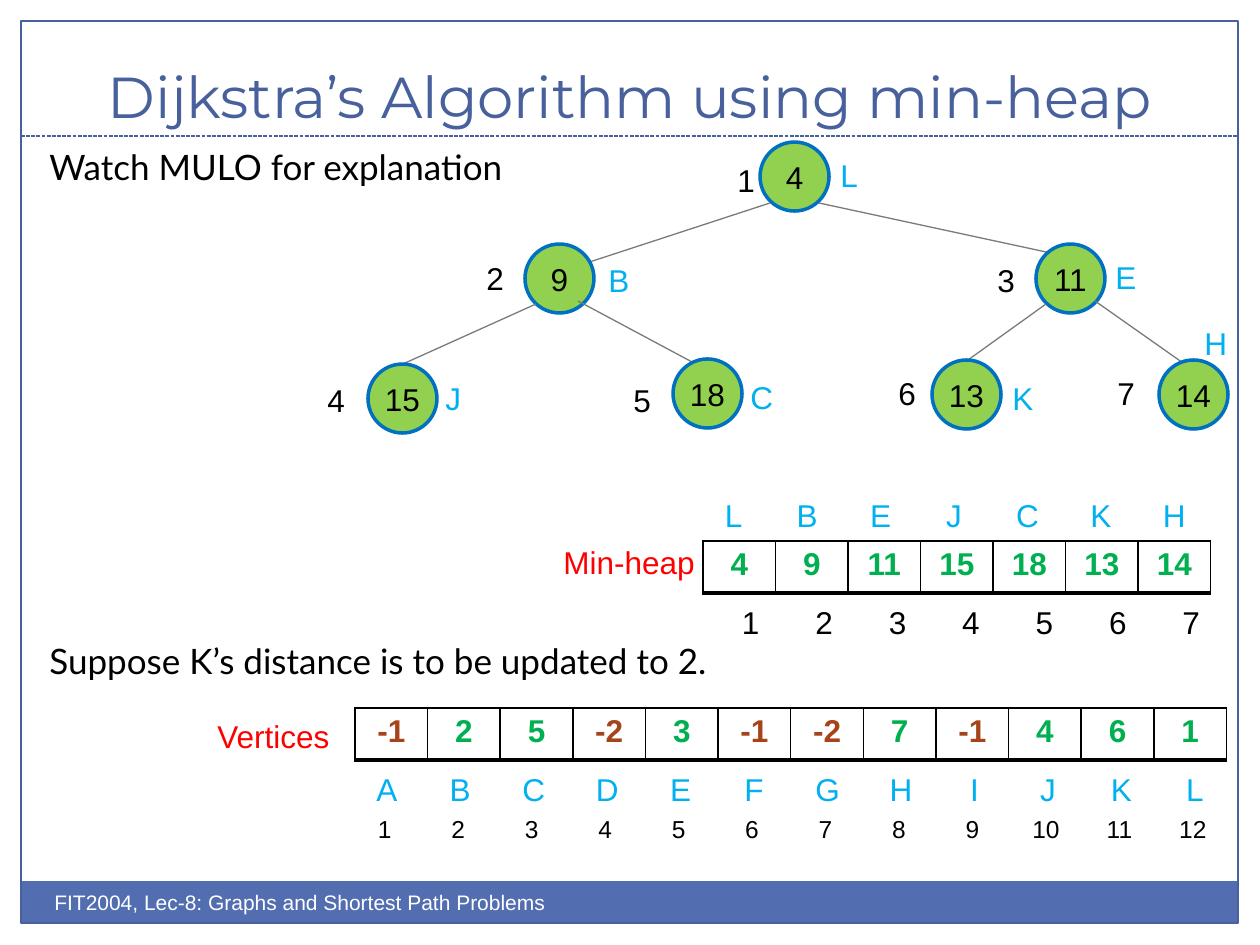
from dataclasses import dataclass
from lxml.etree import SubElement
from pptx import Presentation
from pptx.dml.color import RGBColor
from pptx.enum.dml import MSO_LINE
from pptx.enum.shapes import MSO_CONNECTOR as CONN, MSO_SHAPE as SHAPE
from pptx.enum.text import MSO_ANCHOR as ANCHOR, PP_ALIGN as ALIGN
from pptx.oxml import parse_xml
from pptx.oxml.ns import nsdecls, qn
from pptx.util import Emu, Pt

SCALE = 914400 / 126
ROW_H = 52
NODE_SIZE = 69
NO_STYLE = "{2D5ABB26-0587-4C30-8999-92F81FD0307C}"


@dataclass(frozen=True)
class Theme:
    title_font: str = "Montserrat"
    body_font: str = "Lato"
    font: str = "Arial"
    title_size: int = 33
    body_size: int = 20
    size: int = 18
    small: int = 14
    footer_size: int = 12
    black: str = "000000"
    white: str = "FFFFFF"
    frame: str = "48609B"
    band: str = "526DB0"
    node: str = "92D050"
    ring: str = "0070C0"
    edge: str = "7A7A7A"
    vertex: str = "00B0F0"
    caption: str = "FF0000"
    value: str = "00B050"
    negative: str = "A6431A"


T = Theme()


@dataclass(frozen=True)
class Node:
    value: int
    vertex: str
    at: tuple
    index_at: tuple
    vertex_at: tuple
    edges: tuple = ()


HEAP = [
    Node(4, "L", (760, 142), (725, 155), (828, 150),
         ((770, 203, 559, 272), (819, 203, 1060, 255))),
    Node(9, "B", (525, 244), (474, 253), (596, 255),
         ((536, 304, 403, 364), (578, 301, 707, 370))),
    Node(11, "E", (1036, 244), (985, 255), (1103, 252),
         ((1046, 304, 968, 360), (1095, 301, 1193, 370))),
    Node(15, "J", (368, 364), (315, 375), (433, 373)),
    Node(18, "C", (673, 359), (621, 375), (738, 372)),
    Node(13, "K", (932, 360), (886, 368), (1000, 373)),
    Node(14, "H", (1159, 360), (1105, 368), (1192, 318)),
]
VERTICES = [-1, 2, 5, -2, 3, -1, -2, 7, -1, 4, 6, 1]


def px(*values):
    return [Emu(round(v * SCALE)) for v in values]


def rgb(color):
    return RGBColor.from_string(color)


def write(tf, text, font=T.font, size=T.size, color=T.black, bold=False,
          align=ALIGN.LEFT):
    p = tf.paragraphs[0]
    p.alignment = align
    r = p.add_run()
    r.text = str(text)
    r.font.name = font
    r.font.size = Pt(size)
    r.font.bold = bold
    r.font.color.rgb = rgb(color)


def add_text(slide, text, x, y, w=48, h=50, wrap=False, **fmt):
    tf = slide.shapes.add_textbox(*px(x, y, w, h)).text_frame
    tf.word_wrap = wrap
    write(tf, text, **fmt)


def add_shape(slide, kind, x, y, w, h, fill=None, line=None, width=0.75):
    sp = slide.shapes.add_shape(kind, *px(x, y, w, h))
    sp.shadow.inherit = False
    if fill:
        sp.fill.solid()
        sp.fill.fore_color.rgb = rgb(fill)
    else:
        sp.fill.background()
    if line:
        sp.line.color.rgb = rgb(line)
        sp.line.width = Pt(width)
    else:
        sp.line.fill.background()
    return sp


def add_line(slide, x1, y1, x2, y2, color, dash=None):
    cx = slide.shapes.add_connector(CONN.STRAIGHT, *px(x1, y1, x2, y2))
    cx.line.color.rgb = rgb(color)
    cx.line.width = Pt(0.75)
    if dash:
        cx.line.dash_style = dash
    SubElement(cx._element.spPr, qn("a:effectLst"))


def add_borders(cell):
    tc_pr = cell._tc.get_or_add_tcPr()
    for i, (side, width) in enumerate((("L", 1), ("R", 1), ("T", 1), ("B", 2))):
        tc_pr.insert(i, parse_xml(
            f'<a:ln{side} {nsdecls("a")} w="{Pt(width)}"><a:solidFill>'
            f'<a:srgbClr val="{T.black}"/></a:solidFill></a:ln{side}>'))


def add_row(slide, values, x, y, w, colors=None, boxed=False, **fmt):
    n = len(values)
    table = slide.shapes.add_table(1, n, *px(x, y, w, ROW_H)).table
    table.first_row = table.horz_banding = False
    table._tbl.tblPr.find(qn("a:tableStyleId")).text = NO_STYLE
    for i, value in enumerate(values):
        table.columns[i].width = px(w / n)[0]
        cell = table.cell(0, i)
        cell.fill.background()
        if boxed:
            add_borders(cell)
        if colors:
            fmt["color"] = colors[i]
        write(cell.text_frame, value, align=ALIGN.CENTER, bold=boxed, **fmt)


def add_node(slide, index, node):
    sp = add_shape(slide, SHAPE.OVAL, *node.at, NODE_SIZE, NODE_SIZE,
                   fill=T.node, line=T.ring, width=2)
    tf = sp.text_frame
    tf.word_wrap = False
    tf.vertical_anchor = ANCHOR.MIDDLE
    write(tf, node.value, align=ALIGN.CENTER)
    for edge in node.edges:
        add_line(slide, *edge, T.edge)
    add_text(slide, index, *node.index_at)
    add_text(slide, node.vertex, *node.vertex_at, color=T.vertex)


def add_frame(slide):
    add_shape(slide, SHAPE.RECTANGLE, 21, 881, 1217, 43, fill=T.band)
    add_shape(slide, SHAPE.RECTANGLE, 21, 21, 1217, 902, line=T.frame)
    add_line(slide, 21, 136, 1239, 136, T.frame, MSO_LINE.SQUARE_DOT)
    add_text(slide, "FIT2004, Lec-8: Graphs and Shortest Path Problems",
             42, 883, 630, wrap=True, size=T.footer_size, color=T.white)


def add_title(slide, text):
    title = slide.shapes.title
    title.left, title.top, title.width, title.height = px(42, 31, 1176, 105)
    tf = title.text_frame
    tf.vertical_anchor = ANCHOR.BOTTOM
    write(tf, text, font=T.title_font, size=T.title_size, color=T.frame,
          align=ALIGN.CENTER)


def main():
    prs = Presentation()
    prs.slide_width, prs.slide_height = px(1260, 945)
    slide = prs.slides.add_slide(prs.slide_layouts[5])
    add_title(slide, "Dijkstra’s Algorithm using min-heap")
    add_frame(slide)

    body = dict(wrap=True, font=T.body_font, size=T.body_size)
    add_text(slide, "Watch MULO for explanation", 37, 139, 593, 145, **body)
    add_text(slide, "Suppose K’s distance is to be updated to 2.",
             37, 633, 723, 145, **body)

    for index, node in enumerate(HEAP, 1):
        add_node(slide, index, node)

    add_text(slide, "Min-heap", 551, 537, 157, color=T.caption)
    add_row(slide, [n.vertex for n in HEAP], 697, 493, 514, color=T.vertex)
    add_row(slide, [n.value for n in HEAP], 703, 541, 508, boxed=True,
            color=T.value)
    add_row(slide, range(1, len(HEAP) + 1), 714, 600, 514)

    add_text(slide, "Vertices", 205, 711, 139, color=T.caption)
    add_row(slide, VERTICES, 355, 708, 872, boxed=True,
            colors=[T.negative if v < 0 else T.value for v in VERTICES])
    add_row(slide, "ABCDEFGHIJKL", 350, 767, 882, color=T.vertex)
    add_row(slide, range(1, len(VERTICES) + 1), 348, 810, 882, size=T.small)

    prs.save("out.pptx")


if __name__ == "__main__":
    main()
